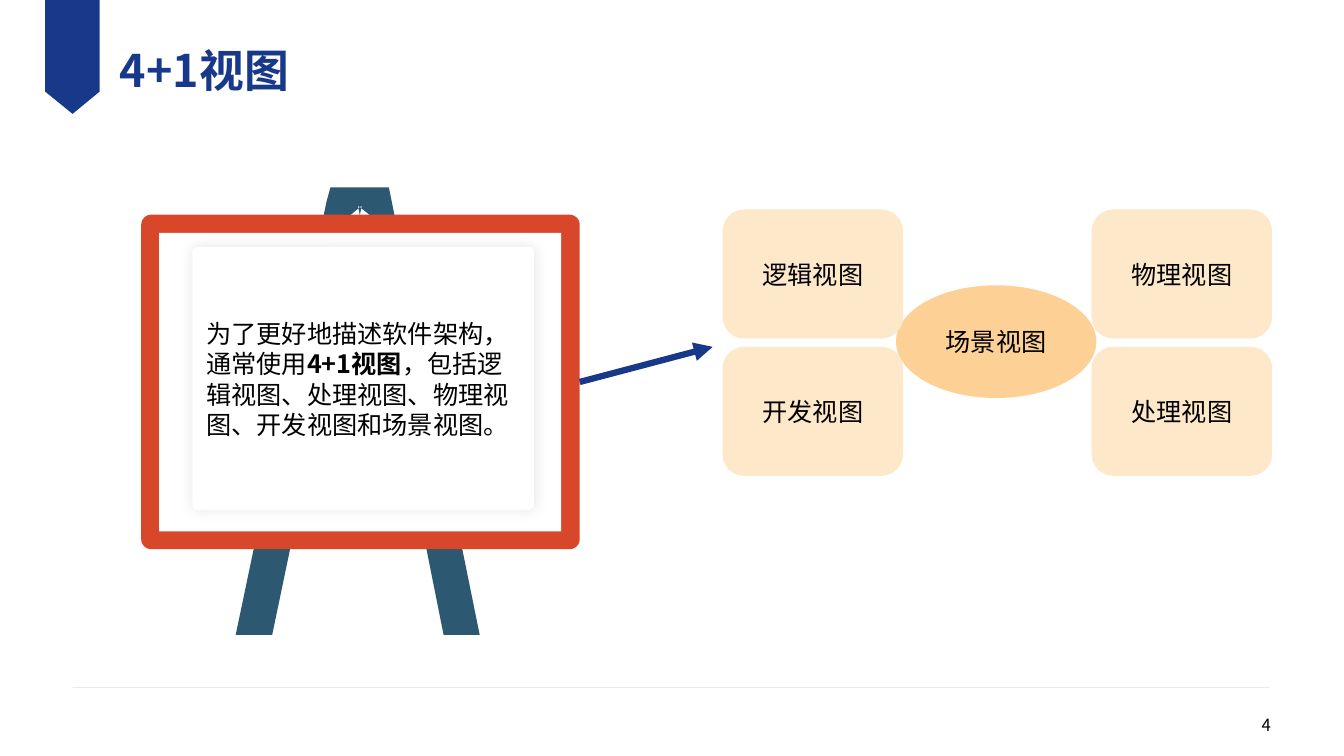
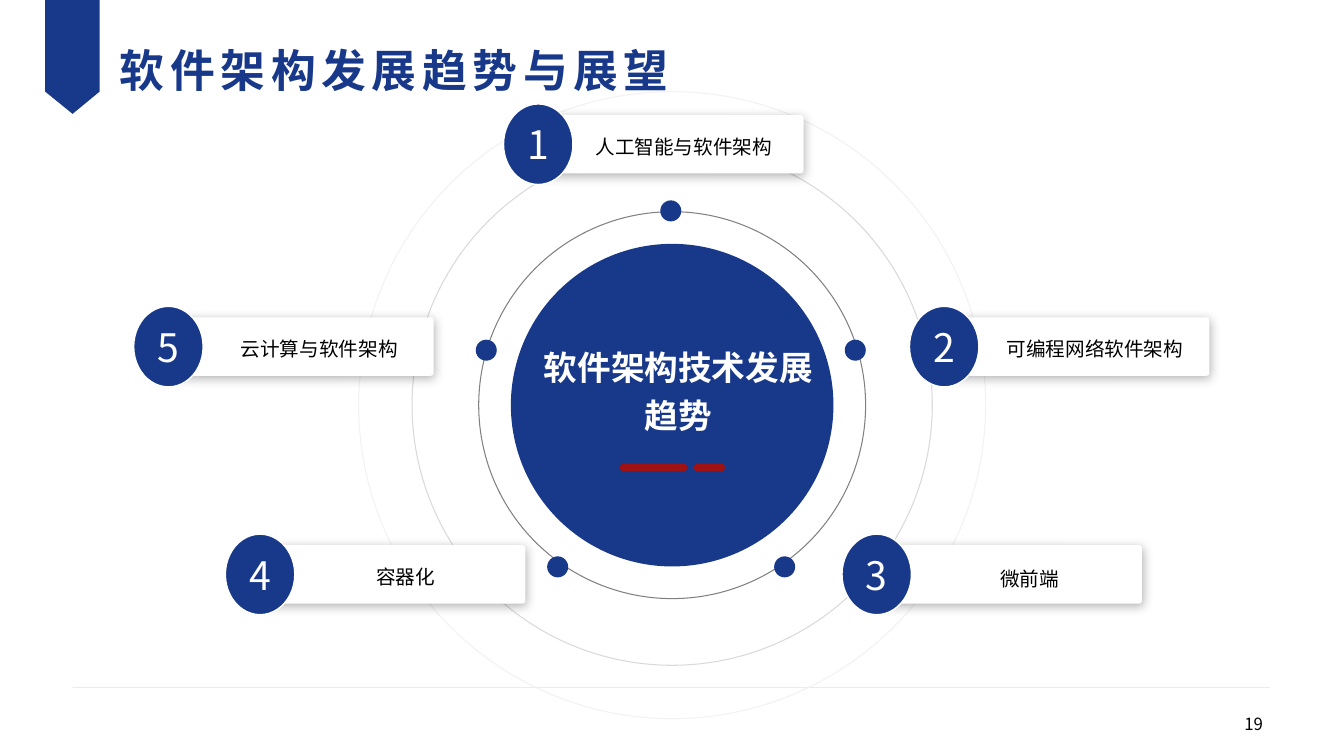
from dataclasses import dataclass
from typing import Any

from lxml import etree
from pptx import Presentation
from pptx import util as u
from pptx.dml.color import RGBColor
from pptx.enum import shapes, text
from pptx.oxml.ns import qn

NAVY = RGBColor(0x18, 0x38, 0x8A)
TEAL = RGBColor(0x2C, 0x58, 0x71)
RED = RGBColor(0xD8, 0x47, 0x2A)
CRIMSON = RGBColor(0x9E, 0x12, 0x13)
ORANGE = RGBColor(0xFD, 0xD1, 0x95)
CREAM = RGBColor(0xFE, 0xE8, 0xCA)
WHITE = RGBColor(0xFF, 0xFF, 0xFF)
BLACK = RGBColor(0x00, 0x00, 0x00)
RULE_GRAY = RGBColor(0xBF, 0xBF, 0xBF)
RING_GRAYS = (
    RGBColor(0x80, 0x80, 0x80),
    RGBColor(0xD9, 0xD9, 0xD9),
    RGBColor(0xF2, 0xF2, 0xF2),
)
FONT = "Noto Sans CJK SC"
OVAL = shapes.MSO_SHAPE.OVAL
RECTANGLE = shapes.MSO_SHAPE.RECTANGLE
ROUNDED = shapes.MSO_SHAPE.ROUNDED_RECTANGLE
CENTER = text.PP_ALIGN.CENTER
LEFT = text.PP_ALIGN.LEFT
RIGHT = text.PP_ALIGN.RIGHT
MIDDLE = text.MSO_ANCHOR.MIDDLE
TOP = text.MSO_ANCHOR.TOP
NO_MARGINS = {f"margin_{side}": 0 for side in ("left", "top", "right", "bottom")}


@dataclass(frozen=True)
class Box:
    left: float
    top: float
    width: float
    height: float

    def lengths(self) -> tuple[u.Length, ...]:
        return tuple(u.Cm(v) for v in (self.left, self.top, self.width, self.height))


@dataclass(frozen=True)
class TextStyle:
    size: float
    color: RGBColor = BLACK
    bold: bool = False
    spacing: float = 0
    align: Any = CENTER
    anchor: Any = MIDDLE
    line_spacing: float | None = None
    space_after: float = 0
    margins: bool = True


@dataclass(frozen=True)
class Shadow:
    blur: float
    distance: float
    degrees: int
    opacity: int


@dataclass(frozen=True)
class View:
    label: str
    column: int
    row: int


@dataclass(frozen=True)
class Trend:
    label: str
    card: tuple[float, float]
    label_shift: tuple[float, float]
    dot: tuple[float, float]


TITLE = TextStyle(32, NAVY, bold=True, align=LEFT, margins=False)
SPACED_TITLE = TextStyle(32, NAVY, bold=True, spacing=4, align=LEFT, margins=False)
PAGE_NUMBER = TextStyle(12, align=RIGHT)
VIEW = TextStyle(18)
NOTE = TextStyle(18, align=LEFT, anchor=TOP)
HUB = TextStyle(24, WHITE, bold=True, anchor=TOP, line_spacing=1.2, margins=False)
BADGE = TextStyle(28, WHITE, spacing=0.8, space_after=6)
TREND = TextStyle(14, anchor=TOP, line_spacing=1.3)
NOTE_SHADOW = Shadow(10, 0, 0, 10)
CARD_SHADOW = Shadow(8, 2, 70, 29)

VIEWS = (
    View("物理视图", 1, 0),
    View("逻辑视图", 0, 0),
    View("开发视图", 0, 1),
    View("处理视图", 1, 1),
)
TRENDS = (
    Trend("人工智能与软件架构", (13.21, 2.9), (1.22, 0.2), (16.64, 5.05)),
    Trend("可编程网络软件架构", (23.44, 8), (1.35, 0.2), (21.29, 8.56)),
    Trend("微前端", (21.74, 13.74), (1.4, 0.25), (19.51, 14.02)),
    Trend("容器化", (6.2, 13.74), (1.22, 0.2), (13.79, 14.02)),
    Trend("云计算与软件架构", (3.89, 8), (1.35, 0.18), (11.99, 8.56)),
)
EASEL = (
    (12.09, 16), (9.8, 4.72), (8.33, 4.72), (8.23, 5.08), (5.94, 16), (6.86, 16),
    (9.12, 5.18), (8.69, 5.54), (9.47, 5.54), (9.02, 5.18), (11.18, 16),
)
RIBBON = ((2.51, 0), (2.51, 2.31), (1.83, 2.87), (1.14, 2.31), (1.14, 0))


def set_all(target: Any, values: dict[str, Any]) -> None:
    for name, value in values.items():
        setattr(target, name, value)


def write(shape: Any, style: TextStyle, *runs: tuple[str, bool] | str) -> None:
    frame = shape.text_frame
    fitted = style.anchor == TOP
    fit = text.MSO_AUTO_SIZE
    set_all(frame, {
        "word_wrap": True,
        "auto_size": fit.SHAPE_TO_FIT_TEXT if fitted else fit.NONE,
        "vertical_anchor": style.anchor,
        **({} if style.margins else NO_MARGINS),
    })
    paragraph = frame.paragraphs[0]
    set_all(paragraph, {
        "alignment": style.align,
        "line_spacing": style.line_spacing,
        "space_after": u.Pt(style.space_after),
    })
    for item in runs:
        words, bold = (item, style.bold) if isinstance(item, str) else item
        run = paragraph.add_run()
        run.text = words
        set_all(run.font, {"size": u.Pt(style.size), "bold": bold, "name": FONT})
        run.font.color.rgb = style.color
        properties = run.font._element
        etree.SubElement(properties, qn("a:ea"), typeface=FONT)
        if style.spacing:
            properties.set("spc", str(round(style.spacing * 100)))


def paint(shape: Any, fill: RGBColor | None, line: RGBColor | None = None,
          weight: float = 0.75) -> None:
    shape.shadow.inherit = False
    if fill is None:
        shape.fill.background()
    else:
        shape.fill.solid()
        shape.fill.fore_color.rgb = fill
    if line is None:
        shape.line.fill.background()
    else:
        shape.line.color.rgb = line
        shape.line.width = u.Pt(weight)


def add_alpha(color: Any, percent: int) -> None:
    etree.SubElement(color, qn("a:alpha"), val=str(percent * 1000))


def cast_shadow(shape: Any, shadow: Shadow) -> None:
    effects = shape.element.spPr.find(qn("a:effectLst"))
    outer = etree.SubElement(
        effects, qn("a:outerShdw"), blurRad=str(u.Pt(shadow.blur)),
        dist=str(u.Pt(shadow.distance)), dir=str(shadow.degrees * 60000),
        algn="ctr", rotWithShape="0")
    add_alpha(etree.SubElement(outer, qn("a:srgbClr"), val=str(BLACK)), shadow.opacity)


def add_shape(parent: Any, kind: Any, box: Box, fill: RGBColor | None,
              line: RGBColor | None = None, weight: float = 0.75,
              corner: float | None = None) -> Any:
    shape = parent.shapes.add_shape(kind, *box.lengths())
    if corner is not None:
        shape.adjustments[0] = corner
    paint(shape, fill, line, weight)
    return shape


def add_polygon(parent: Any, points: tuple, fill: RGBColor) -> Any:
    start, *rest = [(u.Cm(x), u.Cm(y)) for x, y in points]
    builder = parent.shapes.build_freeform(*start, scale=1.0)
    builder.add_line_segments(rest, close=True)
    shape = builder.convert_to_shape()
    paint(shape, fill)
    return shape


def add_line(slide: Any, start: tuple, end: tuple, color: RGBColor, weight: float) -> Any:
    connector = slide.shapes.add_connector(
        shapes.MSO_CONNECTOR.STRAIGHT, *(u.Cm(v) for v in (*start, *end)))
    connector.line.color.rgb = color
    connector.line.width = u.Pt(weight)
    etree.SubElement(connector.element.spPr, qn("a:effectLst"))
    return connector


def add_text(slide: Any, box: Box, style: TextStyle, *runs: tuple[str, bool] | str) -> None:
    write(slide.shapes.add_textbox(*box.lengths()), style, *runs)


def decorate_layout(slide: Any, layout: Any) -> None:
    rule = add_line(slide, (1.83, 17.32), (32, 17.32), RULE_GRAY, 0.25)
    add_alpha(next(rule.element.iter(qn("a:srgbClr"))), 47)
    ribbon = add_polygon(slide, RIBBON, NAVY)
    for number, shape in enumerate((ribbon, rule), 20):
        next(shape.element.iter(qn("p:cNvPr"))).set("id", str(number))
        layout.shapes.element.insert(2, shape.element)


def add_slide(presentation: Any, layout: Any, title: str, style: TextStyle,
              page: str, page_box: Box) -> Any:
    slide = presentation.slides.add_slide(layout)
    write(slide.shapes.title, style, title)
    add_text(slide, page_box, PAGE_NUMBER, page)
    return slide


def draw_views(slide: Any) -> None:
    scene = add_shape(slide, OVAL, Box(22.58, 7.19, 5.05, 2.84), ORANGE)
    write(scene, VIEW, "场景视图")
    for view in VIEWS:
        box = Box(18.21 + 9.3 * view.column, 5.28 + 3.46 * view.row, 4.55, 3.25)
        write(add_shape(slide, ROUNDED, box, CREAM), VIEW, view.label)


def draw_board(slide: Any) -> None:
    easel = slide.shapes.add_group_shape()
    add_polygon(easel, EASEL, TEAL)
    board = add_shape(easel, ROUNDED, Box(3.56, 5.41, 11.05, 8.43), RED, corner=0.03)
    add_shape(easel, RECTANGLE, Box(4.01, 5.87, 10.13, 7.52), WHITE)
    arrow = add_line(slide, (14.61, 9.63), (17.96, 8.74), NAVY, 4.5)
    arrow.begin_connect(board, 3)
    etree.SubElement(arrow.line._get_or_add_ln(), qn("a:tailEnd"), type="triangle")
    note = add_shape(slide, ROUNDED, Box(4.85, 6.22, 8.61, 6.63), WHITE, corner=0.02)
    cast_shadow(note, NOTE_SHADOW)
    add_text(slide, Box(4.95, 7.9, 8.43, 4.11), NOTE,
             "为了更好地描述软件架构，通常使用", ("4+1视图", True),
             "，包括逻辑视图、处理视图、物理视图、开发视图和场景视图。")


def draw_hub(slide: Any) -> None:
    def centered(diameter: float) -> Box:
        return Box(16.94 - diameter / 2, 10.21 - diameter / 2, diameter, diameter)

    add_shape(slide, OVAL, centered(8.13), NAVY)
    for diameter, gray in zip((9.75, 13.11, 15.8), RING_GRAYS):
        add_shape(slide, OVAL, centered(diameter), None, gray)
    add_text(slide, Box(13.59, 8.53, 7.01, 2.36), HUB, "软件架构技术发展趋势")
    for left, width in ((17.48, 0.79), (15.62, 1.7)):
        add_shape(slide, ROUNDED, Box(left, 11.68, width, 0.2), CRIMSON, corner=0.5)


def draw_trend(slide: Any, number: int, trend: Trend) -> None:
    left, top = trend.card
    shift_x, shift_y = trend.label_shift
    add_shape(slide, OVAL, Box(*trend.dot, 0.53, 0.53), NAVY)
    group = slide.shapes.add_group_shape()
    card = add_shape(group, ROUNDED, Box(left, top, 7.04, 1.47), WHITE, corner=0.05)
    cast_shadow(card, CARD_SHADOW)
    badge = add_shape(group, OVAL, Box(left - 0.52, top - 0.28, 1.75, 2.03), NAVY, WHITE, 1)
    write(badge, BADGE, str(number))
    add_text(slide, Box(left + shift_x, top + shift_y, 5.61, 0.97), TREND, trend.label)


def main() -> None:
    presentation = Presentation()
    set_all(presentation, {"slide_width": u.Cm(33.87), "slide_height": u.Cm(19.05)})
    layout = presentation.slide_layouts[5]
    title_place = dict(zip(("left", "top", "width", "height"),
                           Box(3.02, 0.66, 22.68, 2.18).lengths()))
    set_all(layout.placeholders[0], title_place)

    views = add_slide(presentation, layout, "4+1视图", TITLE,
                      "4", Box(24.66, 17.75, 7.62, 1.02))
    decorate_layout(views, layout)
    draw_views(views)
    draw_board(views)

    trends = add_slide(presentation, layout, "软件架构发展趋势与展望", SPACED_TITLE,
                       "19", Box(24.46, 17.73, 7.62, 1.02))
    draw_hub(trends)
    for number, trend in enumerate(TRENDS, 1):
        draw_trend(trends, number, trend)
    presentation.save("out.pptx")


if __name__ == "__main__":
    main()
